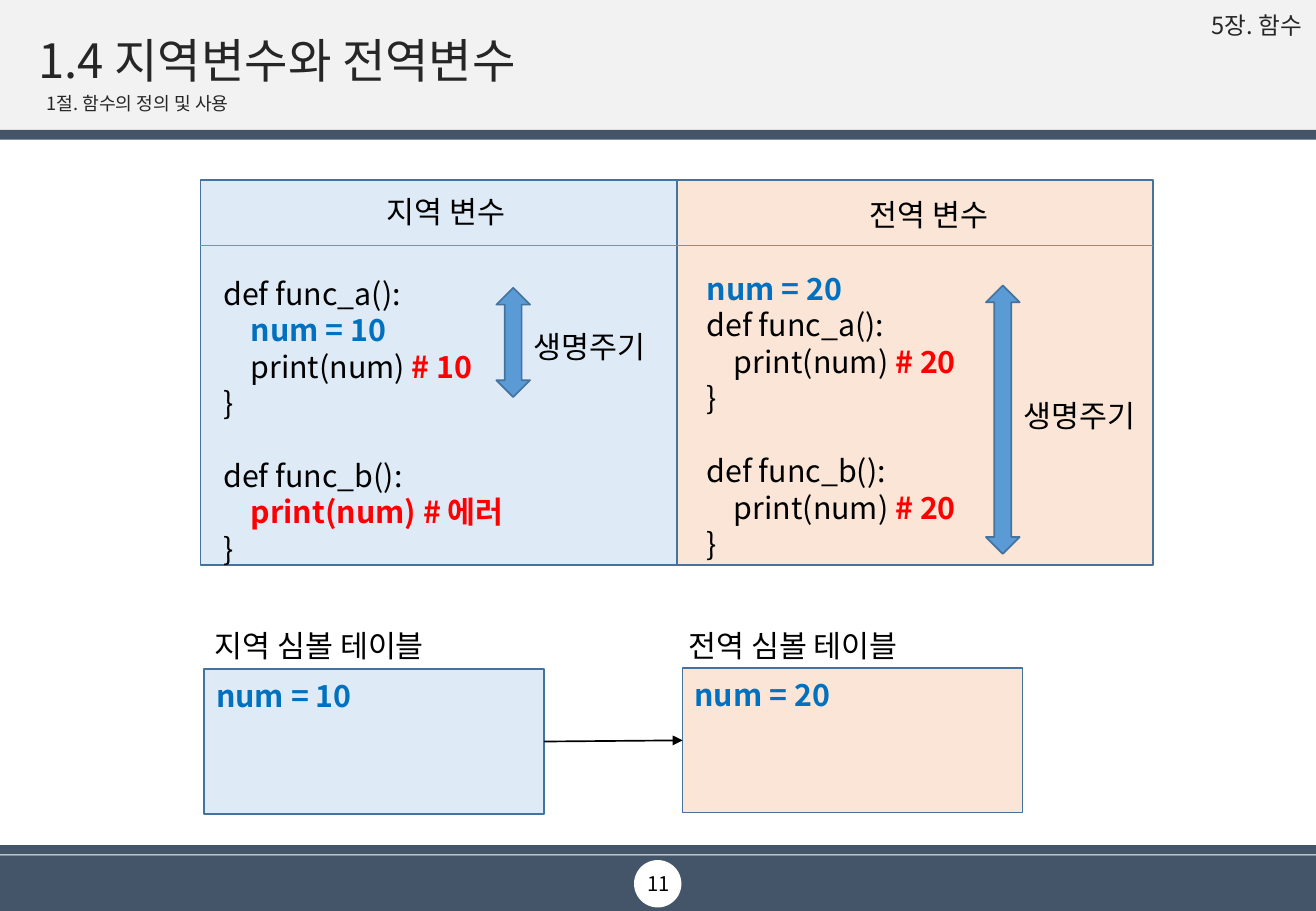
from lxml.etree import SubElement
from pptx import Presentation
from pptx.dml.color import RGBColor
from pptx.enum.shapes import MSO_CONNECTOR, MSO_SHAPE
from pptx.enum.text import MSO_ANCHOR, PP_ALIGN
from pptx.oxml.ns import qn
from pptx.util import Pt

FONT = "Noto Sans CJK KR"
BLACK, DARK, BLUE, RED = "000000", "262626", "0070C0", "FF0000"
NAVY, EDGE, ARROW = "445469", "43739E", "5B9BD5"
LOCAL, GLOBAL = "DEEBF7", "FBE5D6"
LEFT, CENTER, RIGHT = PP_ALIGN.LEFT, PP_ALIGN.CENTER, PP_ALIGN.RIGHT
TOP, MIDDLE = MSO_ANCHOR.TOP, MSO_ANCHOR.MIDDLE

prs = Presentation()
prs.slide_width, prs.slide_height = Pt(780), Pt(540)
s = prs.slides.add_slide(prs.slide_layouts[6])


def shape(kind, box, fill, line=None):
    sp = s.shapes.add_shape(kind, *map(Pt, box))
    sp.shadow.inherit = False
    sp.fill.solid()
    sp.fill.fore_color.rgb = RGBColor.from_string(fill)
    if line:
        sp.line.color.rgb = RGBColor.from_string(line)
        sp.line.width = Pt(1)
    else:
        sp.line.fill.background()
    return sp


def write(sp, lines, size=18, leading=21.6, align=LEFT, anchor=TOP, inset=7.2):
    tf = sp.text_frame
    tf.word_wrap = True
    tf.vertical_anchor = anchor
    tf.margin_left = tf.margin_right = Pt(inset)
    tf.margin_top = Pt(4.6 if anchor == TOP else 3.6)
    tf.margin_bottom = Pt(3.6)
    for i, line in enumerate(lines):
        p = tf.paragraphs[0] if i == 0 else tf.add_paragraph()
        p.alignment = align
        p.line_spacing = Pt(leading)
        if i and line[0][0] == "def func_b():":
            p.space_before = Pt(leading)
        for text, color, bold in line:
            r = p.add_run()
            r.text = text
            r.font.size, r.font.bold, r.font.name = Pt(size), bold, FONT
            r.font.color.rgb = RGBColor.from_string(color)
            SubElement(r.font._element, qn("a:ea"), typeface=FONT)


for top, height, fill in [(0, 77, "F2F2F2"), (77, 5.8, NAVY),
                          (501, 5.5, NAVY), (507, 33, NAVY)]:
    shape(MSO_SHAPE.RECTANGLE, (0, top, 780, height), fill)
shape(MSO_SHAPE.OVAL, (375.8, 509.8, 28.1, 28.1), "FFFFFF")

for box, text, size, leading, color, align, anchor, inset in [
    ((712.8, 3.6, 61.9, 36), "5장. 함수", 14, 15, DARK, RIGHT, TOP, 2.9),
    ((15.8, 15.1, 748, 39.6), "1.4 지역변수와 전역변수", 28, 35, DARK, LEFT, MIDDLE, 7.2),
    ((21.6, 54.7, 743, 17.3), "1절. 함수의 정의 및 사용", 10.8, 9, DARK, LEFT, MIDDLE, 5.8),
    ((302.4, 509.8, 175.7, 28.1), "11", 12, 14.4, BLACK, CENTER, MIDDLE, 7.2),
]:
    tb = s.shapes.add_textbox(*map(Pt, box))
    write(tb, [[(text, color, False)]], size, leading, align, anchor, inset)

tables = []
for box, fill, text in [((121, 396.7, 201.6, 85.7), LOCAL, "num = 10"),
                        ((404.6, 396, 201.6, 85.7), GLOBAL, "num = 20")]:
    sp = shape(MSO_SHAPE.RECTANGLE, box, fill, EDGE)
    write(sp, [[(text, BLUE, True)]])
    tables.append(sp)
for i, fill in enumerate([LOCAL, GLOBAL]):
    shape(MSO_SHAPE.RECTANGLE, (118.8 + 282.4 * i, 106.6, 282.4, 228.2), fill, EDGE)

link = s.shapes.add_connector(MSO_CONNECTOR.STRAIGHT, 0, 0, 0, 0)
link.begin_connect(tables[0], 3)
link.end_connect(tables[1], 1)
rule = s.shapes.add_connector(MSO_CONNECTOR.STRAIGHT, Pt(118.8), Pt(145.4), Pt(683.6), Pt(145.4))
for line, color, width in [(link, BLACK, 1), (rule, ARROW, 0.5)]:
    line.line.color.rgb = RGBColor.from_string(color)
    line.line.width = Pt(width)
    SubElement(line._element.spPr, qn("a:effectLst"))
SubElement(link.line._get_or_add_ln(), qn("a:tailEnd"), type="triangle")

for box, text, align in [
    ((120.2, 367.2, 154.8, 28.8), "지역 심볼 테이블", LEFT),
    ((401, 367.2, 154.8, 28.8), "전역 심볼 테이블", LEFT),
    ((217.4, 110.2, 93.6, 28.8), "지역 변수", CENTER),
    ((504, 111.6, 93.6, 28.8), "전역 변수", CENTER),
    ((299.5, 190.1, 99.4, 28.8), "생명주기", CENTER),
    ((590, 231.1, 99.4, 28.8), "생명주기", CENTER),
]:
    write(s.shapes.add_textbox(*map(Pt, box)), [[(text, BLACK, False)]], align=align)

func_a = [("def func_a():", BLACK, False)]
func_b = [("def func_b():", BLACK, False)]
close = [("}", BLACK, False)]
call = ("    print(num) ", BLACK, False)
call_20 = [call, ("# 20", RED, True)]
local_code = [
    func_a, [("    num = 10", BLUE, True)], [call, ("# 10", RED, True)], close,
    func_b, [("    print(num) # 에러", RED, True)], close,
]
global_code = [
    [("num = 20", BLUE, True)], func_a, call_20, close, func_b, call_20, close,
]
for box, code in [((125.3, 158.4, 277.9, 181.4), local_code),
                  ((411.8, 155.5, 231.1, 181.4), global_code)]:
    write(s.shapes.add_textbox(*map(Pt, box)), code)

for box in [(294.2, 170.6, 20, 64.8), (584.4, 169.2, 20, 159.1)]:
    shape(MSO_SHAPE.UP_DOWN_ARROW, box, ARROW, EDGE)

prs.save("out.pptx")
